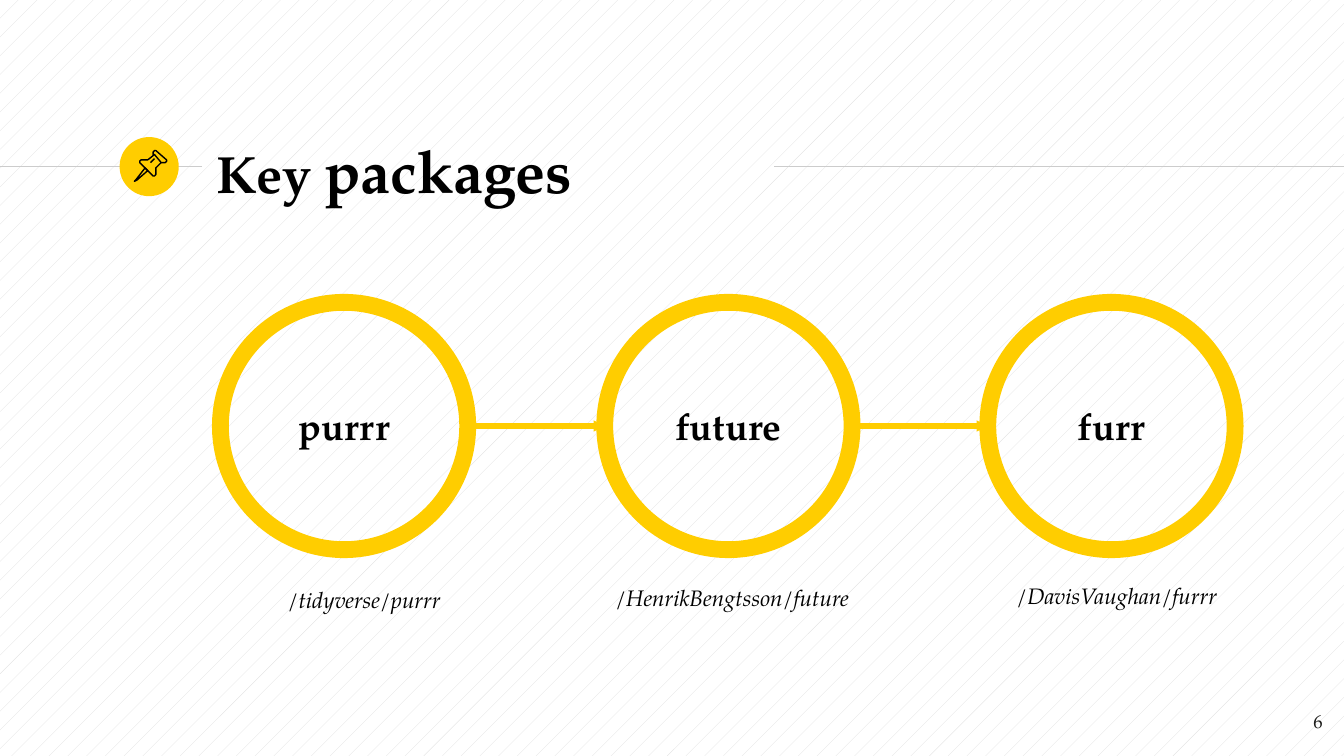
"""Build the "Key packages" slide: three linked packages and their repositories."""
from lxml import etree
from pptx import Presentation
from pptx.dml.color import RGBColor
from pptx.enum.dml import MSO_PATTERN
from pptx.enum.shapes import MSO_CONNECTOR, MSO_SHAPE
from pptx.enum.text import MSO_ANCHOR, PP_ALIGN
from pptx.oxml.ns import qn
from pptx.util import Inches, Pt

FONT = "TeX Gyre Pagella"
YELLOW = RGBColor(0xFF, 0xCD, 0x00)
BLACK = RGBColor(0x00, 0x00, 0x00)
INK = RGBColor(0x1D, 0x1D, 0x1B)
GREY = RGBColor(0xCC, 0xCC, 0xCC)
STRIPE = RGBColor(0xE0, 0xE0, 0xE0)
WHITE = RGBColor(0xFF, 0xFF, 0xFF)
LEFT, CENTER, RIGHT = PP_ALIGN.LEFT, PP_ALIGN.CENTER, PP_ALIGN.RIGHT
TOP, MIDDLE, BOTTOM = MSO_ANCHOR.TOP, MSO_ANCHOR.MIDDLE, MSO_ANCHOR.BOTTOM
STRAIGHT, OVAL = MSO_CONNECTOR.STRAIGHT, MSO_SHAPE.OVAL
PERCENT_5 = MSO_PATTERN.PERCENT_5

prs = Presentation()
prs.slide_width, prs.slide_height = Inches(10), Inches(10 * 9 / 16)
slide = prs.slides.add_slide(prs.slide_layouts[6])
shapes = slide.shapes

backdrop = slide.background.fill
backdrop.patterned()
backdrop.pattern = PERCENT_5
backdrop.fore_color.rgb = STRIPE
backdrop.back_color.rgb = WHITE


def write(holder, runs, align=LEFT, anchor=TOP, color=BLACK, bold=False,
          italic=False, inset=0.1, hanging=False):
    frame = holder.text_frame
    frame.word_wrap = True
    frame.vertical_anchor = anchor
    frame.margin_left = frame.margin_right = Inches(0.1)
    frame.margin_top = frame.margin_bottom = Inches(inset)
    paragraph = frame.paragraphs[0]
    paragraph.alignment = align
    if hanging:
        properties = paragraph._p.get_or_add_pPr()
        properties.set("marL", str(Inches(0.5)))
        properties.set("indent", str(Inches(-0.25)))
    for text, size in runs:
        run = paragraph.add_run()
        run.text = text
        run.font.name = FONT
        run.font.size = Pt(size)
        run.font.bold = bold
        run.font.italic = italic
        run.font.color.rgb = color


def connect(start, end, y, color, width, arrow=False):
    link = shapes.add_connector(STRAIGHT, Inches(start), Inches(y), Inches(end), Inches(y))
    link.line.color.rgb = color
    link.line.width = Pt(width)
    if arrow:
        etree.SubElement(link.line._get_or_add_ln(), qn("a:tailEnd"),
                         type="triangle", w="sm", len="sm")
    etree.SubElement(link._element.spPr, qn("a:effectLst"))


connect(0, 1.5, 1.24, GREY, 0.75)
badge = shapes.add_shape(OVAL, Inches(0.89), Inches(1.02), Inches(0.44), Inches(0.44))
badge.shadow.inherit = False
badge.fill.solid()
badge.fill.fore_color.rgb = YELLOW
badge.line.fill.background()
connect(5.76, 10, 1.24, GREY, 0.75)

title = shapes.add_textbox(Inches(1.51), Inches(1.02), Inches(4.24), Inches(0.48))
write(title, [("Key ", 28), ("packages", 32)], anchor=MIDDLE, bold=True)
page_number = shapes.add_textbox(Inches(9.34), Inches(5.2), Inches(0.6), Inches(0.43))
write(page_number, [("6", 10)], align=RIGHT, color=INK)

HUNDREDTH = Inches(0.01)
needle = [(108, 125), (101, 134), (100, 135), (102, 134), (110, 127)]
cap = [(115, 115), (120, 121), (122, 121), (123, 121), (124, 120),
       (124, 119), (116, 112), (115, 112), (114, 113), (114, 115)]
body = [(115, 115), (110, 119), (107, 119), (105, 119), (104, 120),
        (104, 121), (114, 131), (115, 131), (116, 130), (116, 125), (120, 121)]
glint = [(112, 121), (115, 118)]
for outline, closed in [(needle, True), (cap, True), (body, False), (glint, False)]:
    builder = shapes.build_freeform(*outline[0], scale=HUNDREDTH)
    builder.add_line_segments(outline[1:], close=closed)
    pin_part = builder.convert_to_shape()
    pin_part.shadow.inherit = False
    pin_part.fill.background()
    pin_part.line.color.rgb = BLACK
    pin_part.line.width = Pt(0.75)

DIAMETER = 1.84
ring_lefts = [1.64, 4.5, 7.35]
for name, left in zip(["purrr", "future", "furr"], ring_lefts):
    ring = shapes.add_shape(OVAL, Inches(left), Inches(2.25), Inches(DIAMETER), Inches(DIAMETER))
    ring.shadow.inherit = False
    ring.fill.background()
    ring.line.color.rgb = YELLOW
    ring.line.width = Pt(9)
    write(ring, [(name, 20)], align=CENTER, anchor=MIDDLE, bold=True)

for left, following in zip(ring_lefts, ring_lefts[1:]):
    connect(left + DIAMETER, following, 3.17, YELLOW, 3, arrow=True)

centred = {"align": CENTER, "anchor": BOTTOM, "hanging": True}
repositories = [
    ("/HenrikBengtsson/future", 4.48, 4.3, 2.64, 0.33, {"inset": 0.05}),
    ("/tidyverse/purrr", 0.89, 4.09, 3.39, 0.57, centred),
    ("/DavisVaughan/furrr", 6.49, 4.3, 3.39, 0.33, centred),
]
for address, left, top, width, height, layout in repositories:
    label = shapes.add_textbox(Inches(left), Inches(top), Inches(width), Inches(height))
    write(label, [(address, 12)], italic=True, **layout)

prs.save("out.pptx")
